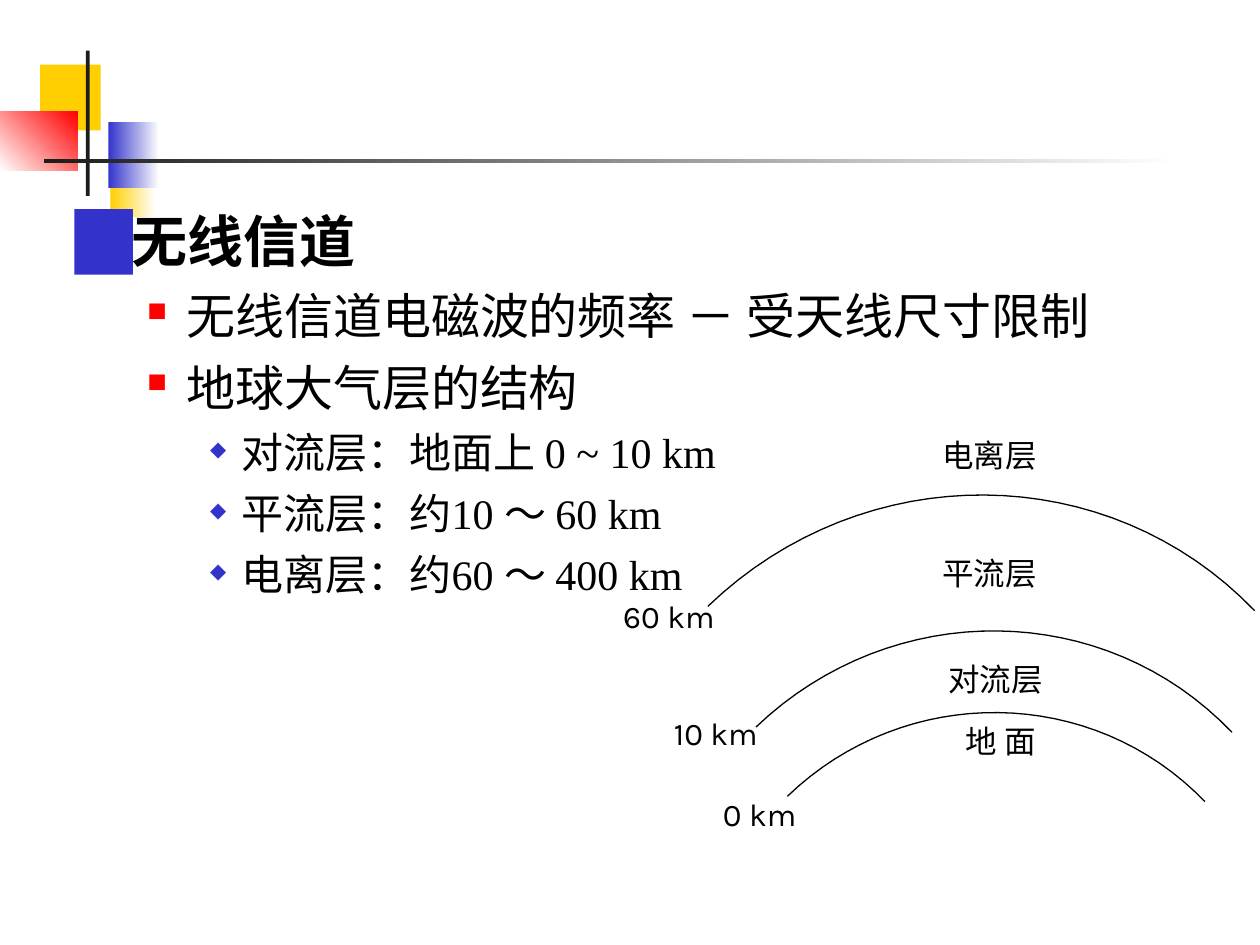
from pptx import Presentation
from pptx.dml.color import RGBColor
from pptx.enum.shapes import MSO_SHAPE
from pptx.enum.text import PP_ALIGN
from pptx.oxml.ns import qn
from pptx.util import Pt
from lxml.etree import SubElement

COLOURS = {
    "black": "000000",
    "white": "FFFFFF",
    "ink": "1C1C1C",
    "blue": "3333CC",
    "yellow": "FFCF01",
    "red": "FF0000",
}
LEVELS = [
    {"size": 32, "bold": True, "before": 0, "left": 27, "hang": 27,
     "mark": "●", "colour": "blue", "scale": 60},
    {"size": 28, "bold": False, "before": 7, "left": 58.5, "hang": 22.5,
     "mark": "■", "colour": "red", "scale": 55},
    {"size": 24, "bold": False, "before": 6, "left": 90, "hang": 18,
     "mark": "◆", "colour": "blue", "scale": 50},
]
OUTLINE = [
    (0, "无线信道"),
    (1, "无线信道电磁波的频率 － 受天线尺寸限制"),
    (1, "地球大气层的结构"),
    (2, "对流层：地面上 0 ~ 10 km"),
    (2, "平流层：约10 ～ 60 km"),
    (2, "电离层：约60 ～ 400 km"),
]
ARCS = [
    [(717, 349), (633.5, 262), (494, 260.5), (404.5, 346.5)],
    [(704, 418.5), (631.5, 342.5), (510, 341), (432, 415.5)],
    [(688.5, 458), (624.5, 391.5), (517.5, 390), (450, 455)],
]
LAYERS = [
    ("地 面", 515.5, 409),
    ("对流层", 512.5, 373.5),
    ("平流层", 509, 313),
    ("电离层", 509, 245.5),
]
HEIGHTS = [("10 km", 378, 404.5), ("60 km", 349, 337.5), ("0 km", 406, 450.5)]


def rgb(name):
    return RGBColor.from_string(COLOURS[name])


class SlideBuilder:
    body_font = "Times New Roman"
    label_font = "Karla"
    label_size = 18
    arc_steps = 32

    def __init__(self, slide):
        self.shapes = slide.shapes

    def block(self, left, top, width, height, colour, fade_to=None, angle=0):
        shape = self.shapes.add_shape(
            MSO_SHAPE.RECTANGLE, Pt(left), Pt(top), Pt(width), Pt(height))
        shape.shadow.inherit = False
        shape.line.fill.background()
        if fade_to:
            shape.fill.gradient()
            shape.fill.gradient_angle = angle
            for stop, name in zip(shape.fill.gradient_stops, (colour, fade_to)):
                stop.color.rgb = rgb(name)
        else:
            shape.fill.solid()
            shape.fill.fore_color.rgb = rgb(colour)

    def arc(self, controls):
        points = []
        for step in range(self.arc_steps + 1):
            t = step / self.arc_steps
            weights = ((1 - t) ** 3, 3 * t * (1 - t) ** 2, 3 * t * t * (1 - t), t ** 3)
            points.append(tuple(
                Pt(sum(w * value for w, value in zip(weights, axis)))
                for axis in zip(*controls)))
        builder = self.shapes.build_freeform(*points[0])
        builder.add_line_segments(points[1:], close=False)
        shape = builder.convert_to_shape()
        shape.shadow.inherit = False
        shape.fill.background()
        shape.line.color.rgb = rgb("black")
        shape.line.width = Pt(0.75)

    def text_frame(self, left, top, width, height):
        box = self.shapes.add_textbox(Pt(left), Pt(top), Pt(width), Pt(height))
        box.text_frame.word_wrap = True
        return box.text_frame

    def style(self, para, name, size, bold=False):
        for span in para.runs:
            span.font.name = name
            span.font.size = Pt(size)
            span.font.bold = bold
            span.font.color.rgb = rgb("black")

    def label(self, text, left, top, width, align=PP_ALIGN.LEFT):
        frame = self.text_frame(left, top, width, 29)
        frame.text = text
        para = frame.paragraphs[0]
        para.alignment = align
        self.style(para, self.label_font, self.label_size)

    def bullet(self, para, level):
        properties = para._p.get_or_add_pPr()
        properties.set("marL", str(Pt(level["left"])))
        properties.set("indent", str(-Pt(level["hang"])))
        colour = SubElement(properties, qn("a:buClr"))
        SubElement(colour, qn("a:srgbClr"), val=COLOURS[level["colour"]])
        SubElement(properties, qn("a:buSzPct"), val=str(level["scale"] * 1000))
        SubElement(properties, qn("a:buChar"), char=level["mark"])

    def outline(self, items, left, top, width, height):
        frame = self.text_frame(left, top, width, height)
        frame.text = "\n".join(text for _, text in items)
        for para, (depth, _) in zip(frame.paragraphs, items):
            level = LEVELS[depth]
            para.level = depth
            self.bullet(para, level)
            para.space_before = Pt(level["before"])
            self.style(para, self.body_font, level["size"], level["bold"])


def main():
    deck = Presentation()
    deck.slide_width, deck.slide_height = Pt(720), Pt(540)
    page = SlideBuilder(deck.slides.add_slide(deck.slide_layouts[6]))

    page.block(63, 86.5, 26, 37.5, "yellow", "white")
    page.block(42.5, 119.5, 33.5, 37.5, "blue")
    page.block(23, 37, 34.5, 37.5, "yellow")
    page.block(62, 70, 29, 37.5, "blue", "white")
    page.block(0, 64, 44.5, 33.5, "white", "red", 45)
    page.block(49, 29, 2.25, 83, "ink")
    page.block(25, 91, 648, 2.25, "ink", "white")

    page.outline(OUTLINE, 41, 114.5, 665, 404)
    for controls in ARCS:
        page.arc(controls)
    for text, left, top in LAYERS:
        page.label(text, left, top, 113, PP_ALIGN.CENTER)
    for text, left, top in HEIGHTS:
        page.label(text, left, top, 68)

    deck.save("out.pptx")


if __name__ == "__main__":
    main()
